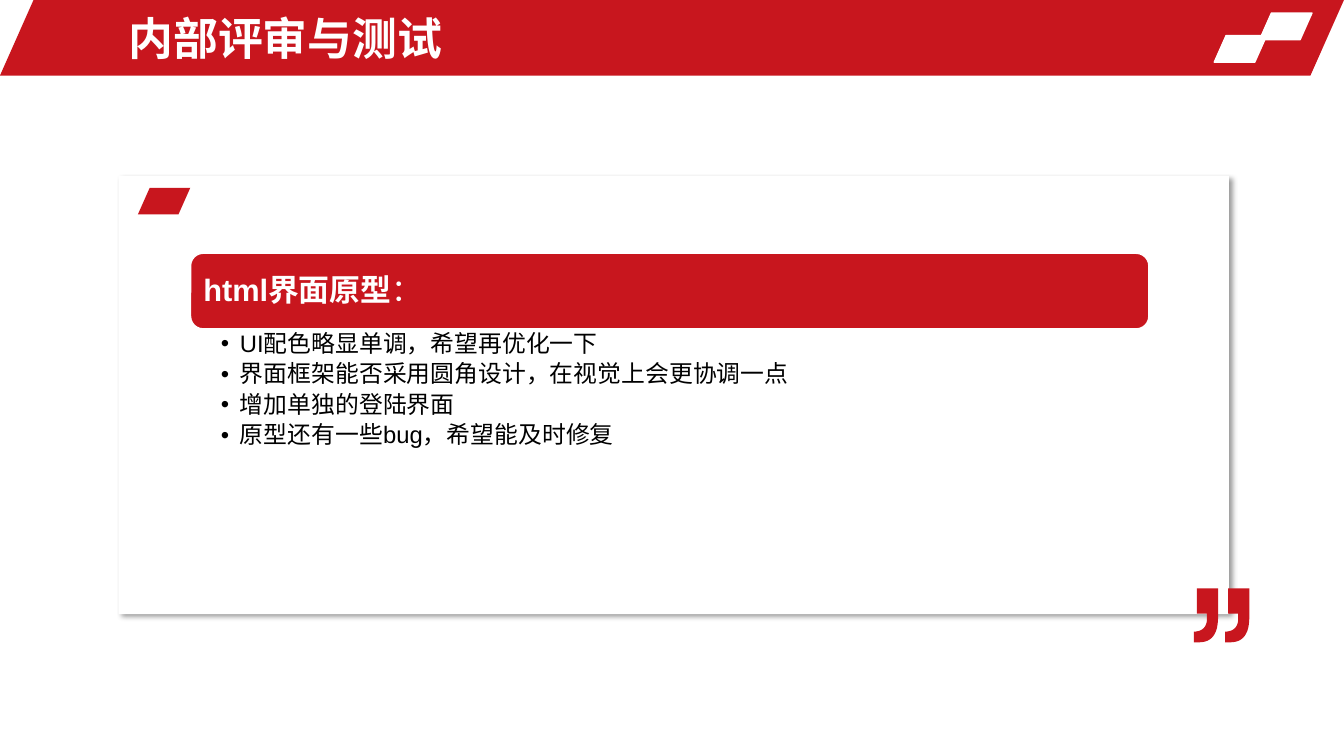
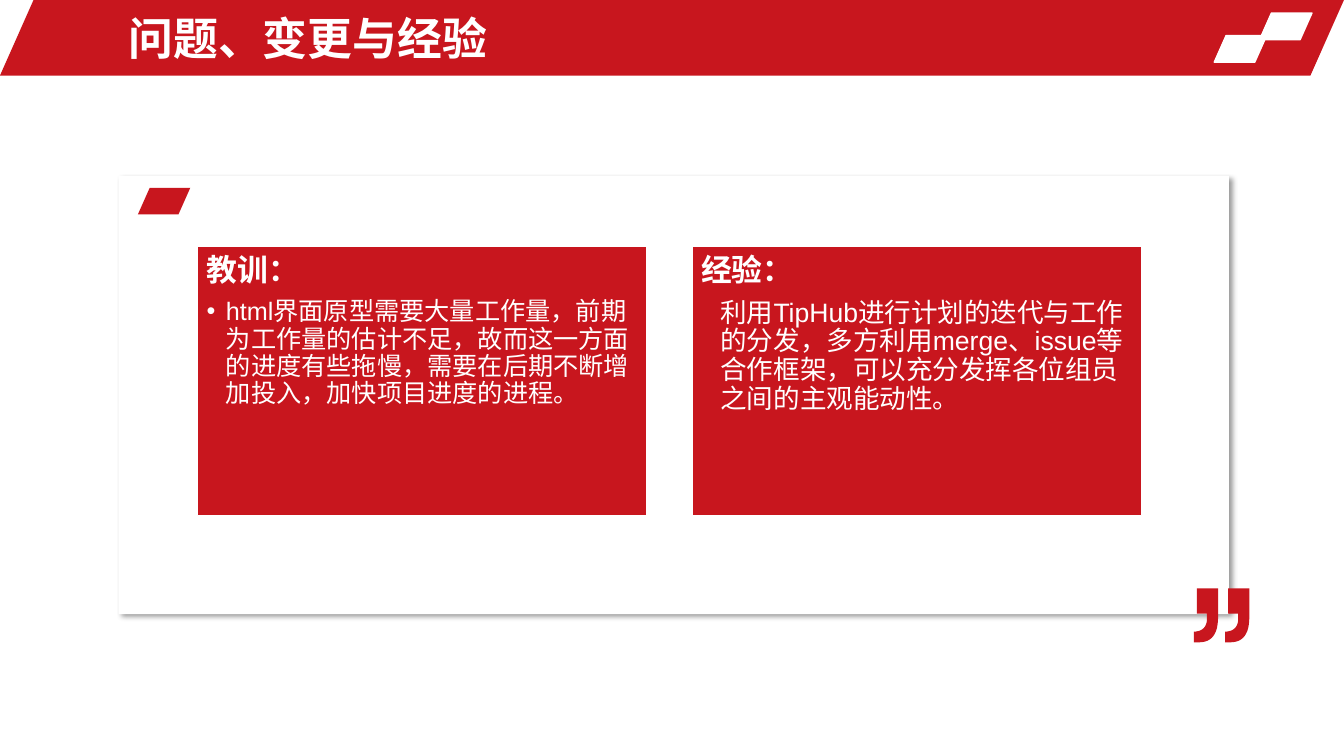
from dataclasses import dataclass
from typing import Any

from lxml import etree
from pptx import Presentation
from pptx import util as u
from pptx.dml.color import RGBColor
from pptx.enum import shapes, text
from pptx.oxml import ns

RED, WHITE, BLACK = "C8161E", "FFFFFF", "000000"
FONT = "Arial"
WIDE, HIGH = u.Inches(13.33), u.Inches(7.5)
KIND = shapes.MSO_SHAPE
SLANT = 0.444


@dataclass(frozen=True)
class Box:
    """A frame in percent of the slide's width and height."""
    x: float
    y: float
    w: float
    h: float

    def frame(self) -> dict[str, int]:
        return {"left": int(WIDE * self.x / 100), "top": int(HIGH * self.y / 100),
                "width": int(WIDE * self.w / 100), "height": int(HIGH * self.h / 100)}


@dataclass(frozen=True)
class Run:
    words: str
    size: float
    color: str = WHITE
    bold: bool = False


@dataclass(frozen=True)
class Para:
    runs: tuple[Run, ...]
    space: float = 1.0
    after: float = 0
    inset: float = 0
    bullet: bool = False


@dataclass(frozen=True)
class Tile:
    box: Box
    fill: str
    edge: str = ""


@dataclass(frozen=True)
class Panel:
    head: str
    body: str
    size: float
    bullet: bool


TITLE = Box(8.8, 0.67, 58.06, 8.67)
CARD = Box(8.83, 23.25, 82.6, 58)
BAR = Box(14.18, 33.5, 71.3, 10)
NOTES = Box(BAR.x, BAR.y + BAR.h, BAR.w, 23.87)
PANEL = Box(14.7, 32.53, 33.43, 35.68)
PITCH = 36.8
MARK = Box(88.83, 77.83, 0, 0)

TILES = (
    Tile(Box(0, 0, 100, 10), RED),
    Tile(Box(93.72, 1.73, 3.9, 3.53), WHITE, WHITE),
    Tile(Box(90.35, 4.7, 3.9, 3.53), WHITE, WHITE),
    Tile(Box(10.26, 24.85, 3.9, 3.53), RED),
)
POINTS = (
    "UI配色略显单调，希望再优化一下",
    "界面框架能否采用圆角设计，在视觉上会更协调一点",
    "增加单独的登陆界面",
    "原型还有一些bug，希望能及时修复",
)
PANELS = (
    Panel("教训：", "html界面原型需要大量工作量，前期为工作量的估计不足，故而这一方面的进度有些拖慢，"
          "需要在后期不断增加投入，加快项目进度的进程。", 18, True),
    Panel("经验：", "利用TipHub进行计划的迭代与工作的分发，多方利用merge、issue等合作框架，"
          "可以充分发挥各位组员之间的主观能动性。", 19, False),
)


def apply(item: Any, vals: dict[str, Any]) -> None:
    for name, val in vals.items():
        setattr(item, name, val)


def paint(fill: Any, color: str) -> None:
    fill.solid()
    fill.fore_color.rgb = RGBColor.from_string(color)


def dress(shape: Any, fill: str, edge: str = "") -> None:
    """Fill a shape and give it a one-point edge or none."""
    paint(shape.fill, fill)
    if edge:
        paint(shape.line.fill, edge)
        shape.line.width = u.Pt(1)
    else:
        shape.line.fill.background()


def draw(slide: Any, kind: Any, box: Box, fill: str, edge: str = "") -> Any:
    shape = slide.shapes.add_shape(kind, *box.frame().values())
    shape.shadow.inherit = False
    dress(shape, fill, edge)
    return shape


def write(shape: Any, paras: list[Para], anchor: Any, pads: tuple[float, ...]) -> None:
    """Set the text of a shape; pads run left, top, right, bottom in inches."""
    frame = shape.text_frame
    sides = ("margin_left", "margin_top", "margin_right", "margin_bottom")
    apply(frame, {"word_wrap": True, "auto_size": text.MSO_AUTO_SIZE.NONE,
                  "vertical_anchor": anchor,
                  **{side: u.Inches(pad) for side, pad in zip(sides, pads)}})
    for i, para in enumerate(paras):
        line = frame.add_paragraph() if i else frame.paragraphs[0]
        props = line._p.get_or_add_pPr()
        hang = -para.inset if para.bullet else 0
        props.set("marL", str(u.Inches(para.inset)))
        props.set("indent", str(u.Inches(hang)))
        tag = "a:buChar" if para.bullet else "a:buNone"
        mark = etree.SubElement(props, ns.qn(tag))
        if para.bullet:
            mark.set("char", "•")
        apply(line, {"alignment": text.PP_ALIGN.LEFT, "line_spacing": para.space,
                     "space_before": u.Pt(0), "space_after": u.Pt(para.after)})
        for part in para.runs:
            run = line.add_run()
            run.text = part.words
            apply(run.font, {"name": FONT, "size": u.Pt(part.size), "bold": part.bold})
            paint(run.font.fill, part.color)


def cast(shape: Any) -> None:
    """Give a shape a soft shadow to its lower right."""
    group = shape.element.spPr.find(ns.qn("a:effectLst"))
    shade = etree.SubElement(group, ns.qn("a:outerShdw"), blurRad=str(u.Pt(4)),
                             dist=str(u.Pt(3)), dir="2700000", algn="tl", rotWithShape="0")
    color = etree.SubElement(shade, ns.qn("a:srgbClr"), val=BLACK)
    etree.SubElement(color, ns.qn("a:alpha"), val="40000")


def curve(*pts: tuple[int, int], steps: int = 12) -> list[tuple[float, float]]:
    """Points along a cubic Bezier, its start left out."""
    def at(t: float, axis: int) -> float:
        a, b, c, d = (pt[axis] for pt in pts)
        s = 1 - t
        return a * s**3 + 3 * b * s * s * t + 3 * c * s * t * t + d * t**3
    return [(at(i / steps, 0), at(i / steps, 1)) for i in range(1, steps + 1)]


def quote(slide: Any) -> Any:
    """Draw closing quotation marks, in thousandths of an inch."""
    comma = [(30, 0), (240, 0), (240, 280),
             *curve((240, 280), (240, 450), (180, 535), (50, 535)),
             (0, 535), (0, 430),
             *curve((0, 430), (90, 425), (130, 380), (130, 300)),
             (130, 250), (30, 250)]
    pen = slide.shapes.build_freeform(*comma[0], scale=u.Inches(1) / 1000)
    for shift in (0, 310):
        pts = [(x + shift, y) for x, y in comma]
        if shift:
            pen.move_to(*pts[0])
        pen.add_line_segments(pts[1:], close=True)
    spot = MARK.frame()
    shape = pen.convert_to_shape(spot["left"], spot["top"])
    shape.shadow.inherit = False
    dress(shape, RED)
    return shape


def share(deck: Any, slide: Any) -> None:
    """Draw the common backdrop and move it to the slide master."""
    card = draw(slide, KIND.RECTANGLE, CARD, WHITE)
    cast(card)
    parts = [card]
    for tile in TILES:
        shape = draw(slide, KIND.PARALLELOGRAM, tile.box, tile.fill, tile.edge)
        shape.adjustments[0] = SLANT
        parts.append(shape)
    parts.append(quote(slide))
    for i, shape in enumerate(parts):
        shape.element.nvSpPr.cNvPr.set("id", str(100 + i))
        deck.slide_master.shapes.element.insert(2 + i, shape.element)


def start(deck: Any, layout: int, title: str) -> Any:
    slide = deck.slides.add_slide(deck.slide_layouts[layout])
    head = slide.shapes.title
    apply(head, TITLE.frame())
    write(head, [Para((Run(title, 32, bold=True),))],
          text.MSO_ANCHOR.MIDDLE, (0.1, 0.05, 0.1, 0.05))
    return slide


def review(deck: Any) -> Any:
    slide = start(deck, 1, "内部评审与测试")
    bar = draw(slide, KIND.ROUNDED_RECTANGLE, BAR, RED, WHITE)
    write(bar, [Para((Run("html界面原型", 22, bold=True), Run("：", 22)), 0.9)],
          text.MSO_ANCHOR.MIDDLE, (0.09,) * 4)
    notes = slide.placeholders[1]
    apply(notes, NOTES.frame())
    write(notes, [Para((Run(point, 17, BLACK),), 0.9, 3.4, 0.19, True)
                  for point in POINTS],
          text.MSO_ANCHOR.TOP, (0.3, 0.03, 0.17, 0.03))
    return slide


def lessons(deck: Any) -> None:
    slide = start(deck, 3, "问题、变更与经验")
    for i, panel in enumerate(PANELS):
        holder = slide.placeholders[i + 1]
        apply(holder, Box(PANEL.x + i * PITCH, PANEL.y, PANEL.w, PANEL.h).frame())
        dress(holder, RED, WHITE)
        write(holder, [Para((Run(panel.head, 22, bold=True),), 0.9, 7.7),
                       Para((Run(panel.body, panel.size),), 0.9,
                            inset=0.19, bullet=panel.bullet)],
              text.MSO_ANCHOR.TOP, (0.09,) * 4)


def main() -> None:
    deck = Presentation()
    apply(deck, {"slide_width": WIDE, "slide_height": HIGH})
    share(deck, review(deck))
    lessons(deck)
    deck.save("out.pptx")


if __name__ == "__main__":
    main()
